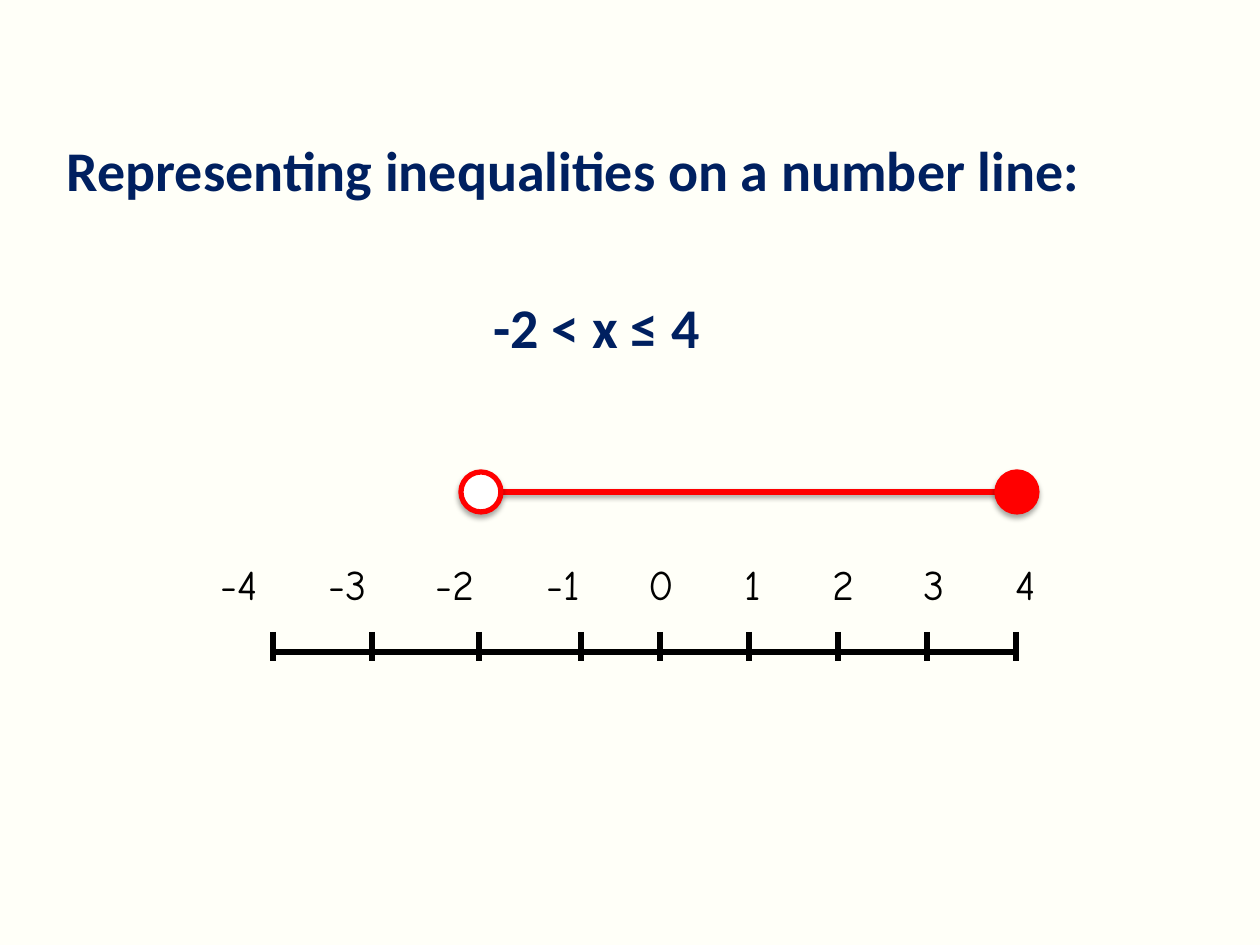
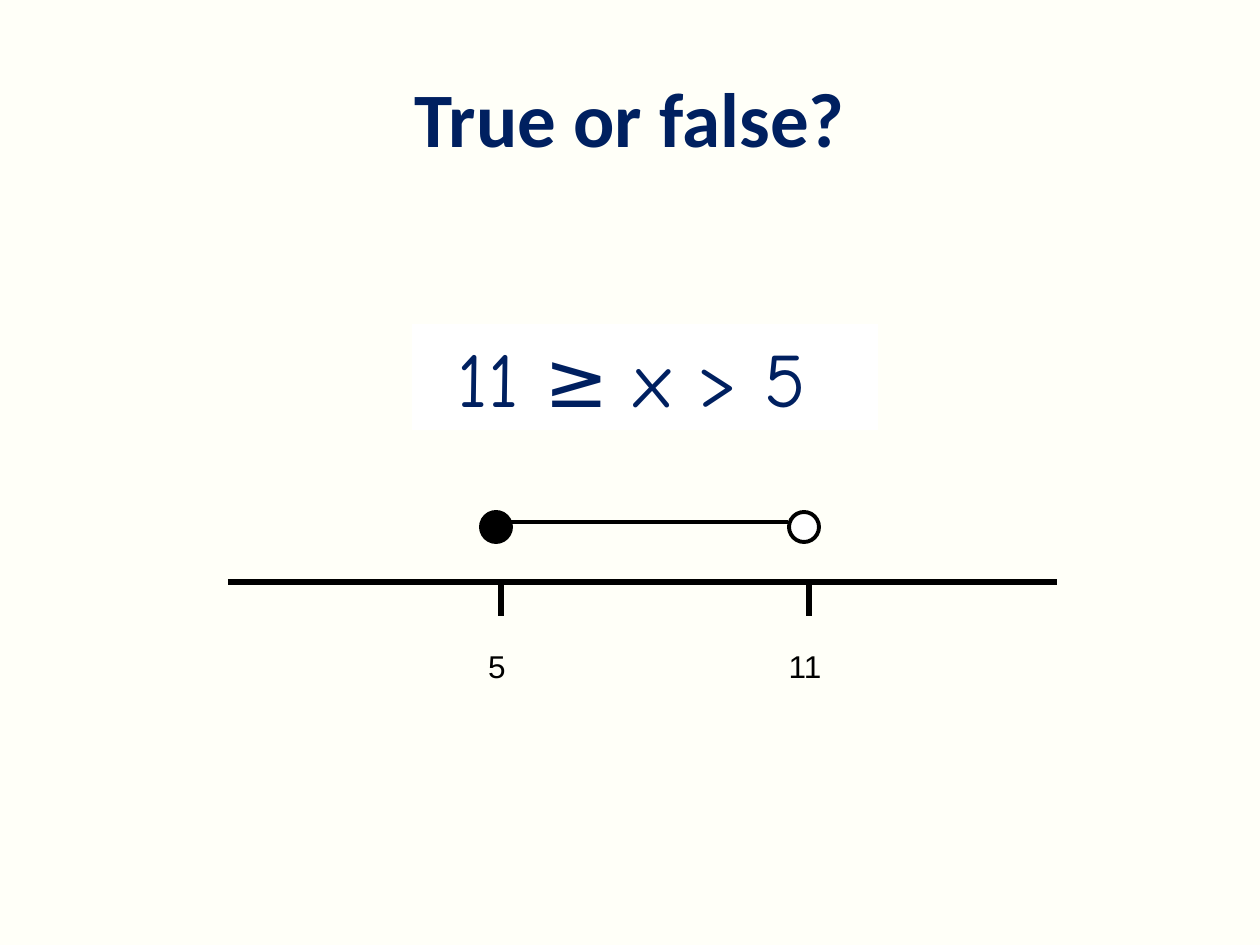
from lxml.etree import SubElement
from pptx import Presentation
from pptx.dml.color import RGBColor
from pptx.enum.shapes import MSO_CONNECTOR, MSO_SHAPE
from pptx.enum.text import MSO_ANCHOR, MSO_AUTO_SIZE, PP_ALIGN
from pptx.oxml.ns import qn
from pptx.util import Emu, Pt

EMU_PER_PX = 914400 / 126
TITLE_ONLY = 5
COLORS = {
    "paper": "FFFFF8",
    "navy": "002060",
    "black": "000000",
    "white": "FFFFFF",
    "red": "FF0000",
}
HEADING_FONT, HAND_FONT, LABEL_FONT = "Calibri", "Comic Neue", "Arial"


def px(length):
    """Turn px into EMU."""
    return Emu(round(length * EMU_PER_PX))


def color(name):
    """Return a palette colour."""
    return RGBColor.from_string(COLORS[name])


def place(shape, box):
    """Move and size a shape to a px box."""
    shape.left, shape.top, shape.width, shape.height = map(px, box)


def write(shape, text, size, font, tint, bold=False, align=PP_ALIGN.CENTER,
          anchor=MSO_ANCHOR.TOP, after=0):
    """Write one formatted run into a shape and return its paragraph."""
    frame = shape.text_frame
    frame.word_wrap = True
    frame.auto_size = MSO_AUTO_SIZE.NONE
    frame.vertical_anchor = anchor
    paragraph = frame.paragraphs[0]
    paragraph.alignment = align
    paragraph.space_before, paragraph.space_after = Pt(0), Pt(after)
    run = paragraph.add_run()
    run.text = text
    run.font.name, run.font.size, run.font.bold = font, Pt(size), bold
    run.font.color.rgb = color(tint)
    return paragraph


def add_text(slide, box, text, size, font, tint, **style):
    """Add a text box and return its paragraph."""
    shape = slide.shapes.add_textbox(*map(px, box))
    return write(shape, text, size, font, tint, **style)


def add_slide(presentation, title, box, size, **style):
    """Add a slide with the shared background and title style."""
    slide = presentation.slides.add_slide(presentation.slide_layouts[TITLE_ONLY])
    fill = slide.background.fill
    fill.solid()
    fill.fore_color.rgb = color("paper")
    place(slide.shapes.title, box)
    write(slide.shapes.title, title, size, HEADING_FONT, "navy", bold=True, **style)
    return slide


def set_effects(shape, opacity=0, distance=0):
    """Replace inherited effects by none, or by a soft shadow below."""
    effects = SubElement(shape._element.spPr, qn("a:effectLst"))
    if opacity:
        shadow = SubElement(effects, qn("a:outerShdw"), blurRad=str(Pt(3.1)),
                            dist=str(Pt(distance)), dir="5400000",
                            algn="ctr", rotWithShape="0")
        tint = SubElement(shadow, qn("a:srgbClr"), val=COLORS["black"])
        SubElement(tint, qn("a:alpha"), val=str(opacity * 1000))


def add_line(slide, start, end, tint="black", weight=3, opacity=0):
    """Add a straight line between two px points."""
    line = slide.shapes.add_connector(MSO_CONNECTOR.STRAIGHT, *map(px, start + end))
    line.line.color.rgb = color(tint)
    line.line.width = Pt(weight)
    set_effects(line, opacity, 1.6)


def add_endpoint(slide, left, top, size, tint, fill, weight, opacity=0):
    """Add the open or closed circle that ends an interval."""
    circle = slide.shapes.add_shape(MSO_SHAPE.OVAL, *map(px, (left, top, size, size)))
    circle.fill.solid()
    circle.fill.fore_color.rgb = color(fill)
    circle.line.color.rgb = color(tint)
    circle.line.width = Pt(weight)
    set_effects(circle, opacity, 1.8)


def add_scale_labels(slide, box, numbers, centers):
    """Write numbers on one line, each centred on a tab stop inside the box."""
    text = "".join(f"\t{number}" for number in numbers)
    paragraph = add_text(slide, box, text, 24, HAND_FONT, "black",
                         align=PP_ALIGN.LEFT)
    stops = SubElement(paragraph._p.get_or_add_pPr(), qn("a:tabLst"))
    inset = 13
    for center in centers:
        SubElement(stops, qn("a:tab"), pos=str(px(center - inset)), algn="ctr")


def add_number_line(slide, box):
    """Draw the scale from -4 to 4 and the interval above it."""
    left, top, width, height = box
    centers = [76 + 108 * k for k in range(4)] + [498 + 91 * k for k in range(5)]
    add_scale_labels(slide, (left, top + 84, width, 63), range(-4, 5), centers)

    ticks = [109, 208, 315, 417] + [496 + 89 * k for k in range(5)]
    axis = top + 184
    add_line(slide, (left + ticks[0], axis), (left + ticks[-1], axis))
    for tick in ticks:
        add_line(slide, (left + tick, axis - 20), (left + tick, axis + 9))

    size, lower, upper = 40, left + 297, left + 833
    add_line(slide, (lower + size, top + 24), (upper, top + 24), "red", opacity=38)
    for start, fill in ((lower, "white"), (upper, "red")):
        add_endpoint(slide, start, top + 4, size, "red", fill, 3, 35)


def add_expression(slide, box):
    """Add the statement to judge on a white panel."""
    panel = slide.shapes.add_shape(MSO_SHAPE.RECTANGLE, *map(px, box))
    panel.shadow.inherit = False
    panel.fill.solid()
    panel.fill.fore_color.rgb = color("white")
    panel.line.fill.background()
    write(panel, "11 ≥ x > 5 ", 44, HAND_FONT, "navy", after=10)


def add_two_point_line(slide, box):
    """Draw an axis with an interval between two marked numbers."""
    left, top, width, height = box
    axis = top + 70
    add_line(slide, (left, axis), (left + width, axis))
    for number, fill, offset in (("5", "black", 253), ("11", "white", 561)):
        center = left + offset + 15
        add_endpoint(slide, left + offset, top, 30, "black", fill, 2.25)
        add_line(slide, (center + 5, axis + 34), (center + 5, axis))
        add_text(slide, (center + 1 - 76, top + 129, 152, 50), number, 18,
                 LABEL_FONT, "black", after=10)
    add_line(slide, (left + 273, top + 10), (left + 560, top + 10), weight=2.25)


def build_representing(presentation):
    """Build the slide on representing an inequality."""
    slide = add_slide(presentation, "Representing inequalities on a number line:",
                      (54, 129, 1133, 80), 32, align=PP_ALIGN.LEFT)
    add_text(slide, (397, 286, 400, 80), "-2 < x ≤ 4", 32, HEADING_FONT,
             "navy", bold=True)
    add_number_line(slide, (164, 468, 932, 193))


def build_true_or_false(presentation):
    """Build the true or false question."""
    slide = add_slide(presentation, "True or false?", (63, 38, 1134, 158), 44,
                      anchor=MSO_ANCHOR.MIDDLE)
    add_expression(slide, (412, 324, 466, 106))
    add_two_point_line(slide, (228, 512, 829, 180))


def main():
    """Build and save the presentation."""
    presentation = Presentation()
    presentation.slide_width, presentation.slide_height = px(1260), px(945)
    build_representing(presentation)
    build_true_or_false(presentation)
    presentation.save("out.pptx")


if __name__ == "__main__":
    main()
